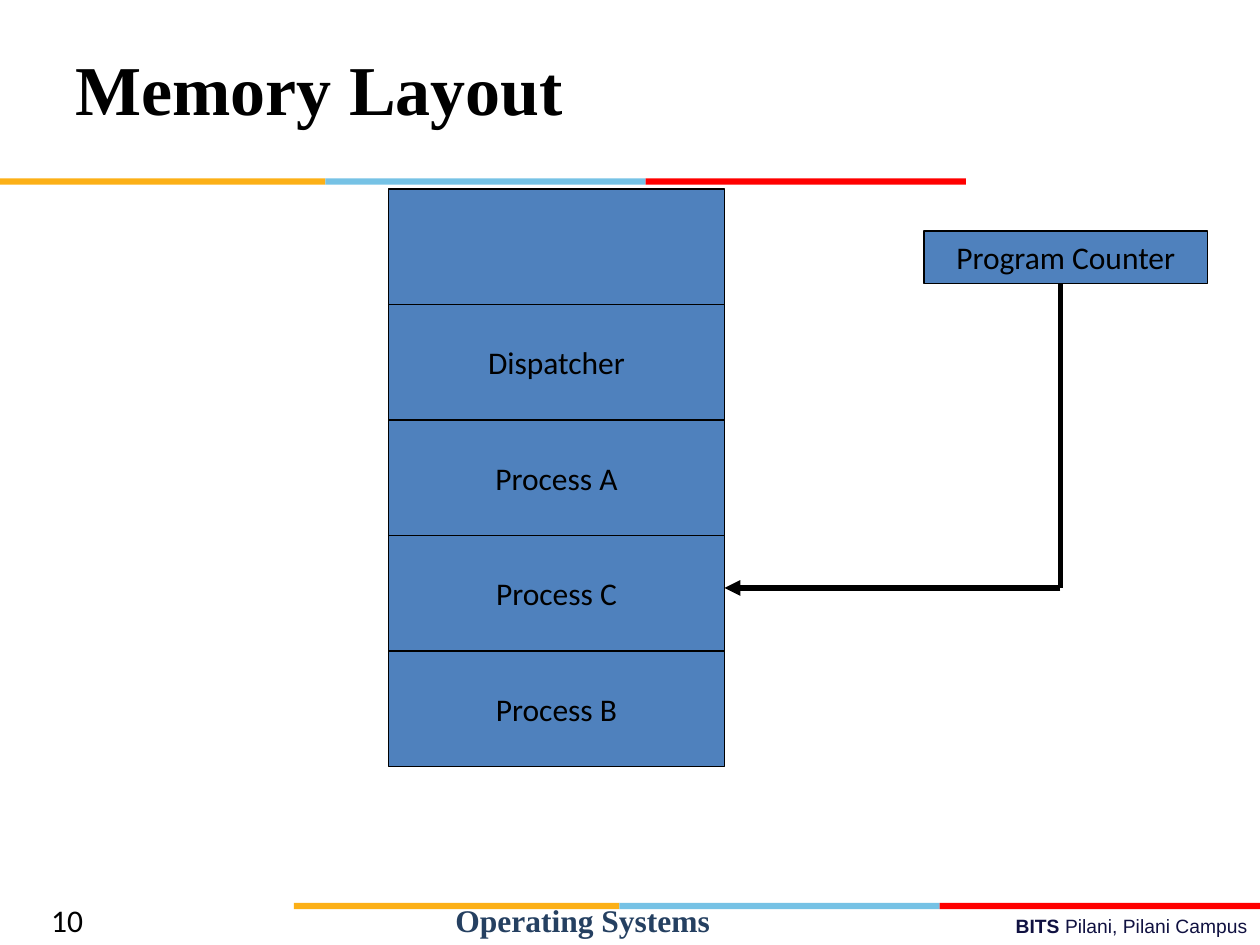
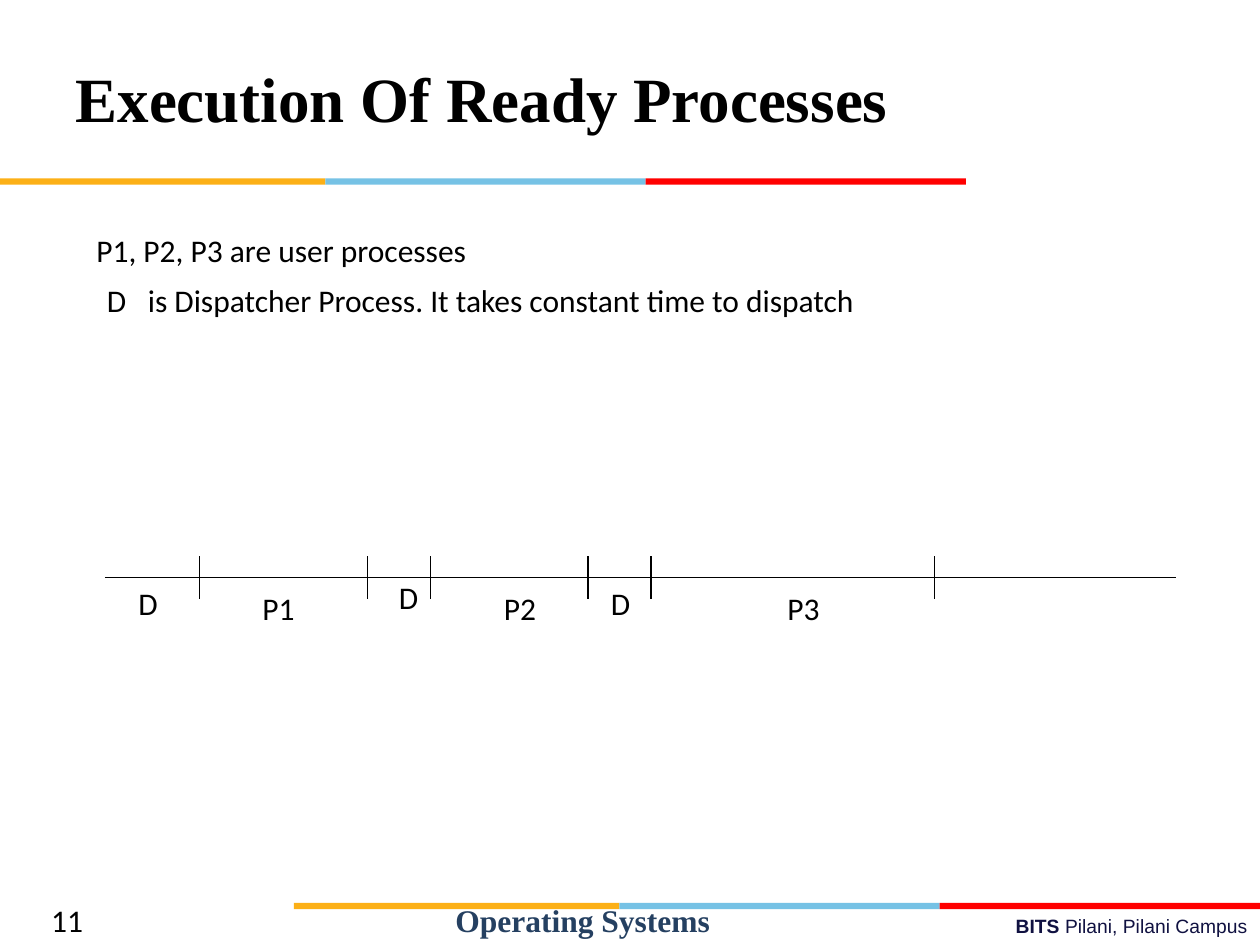
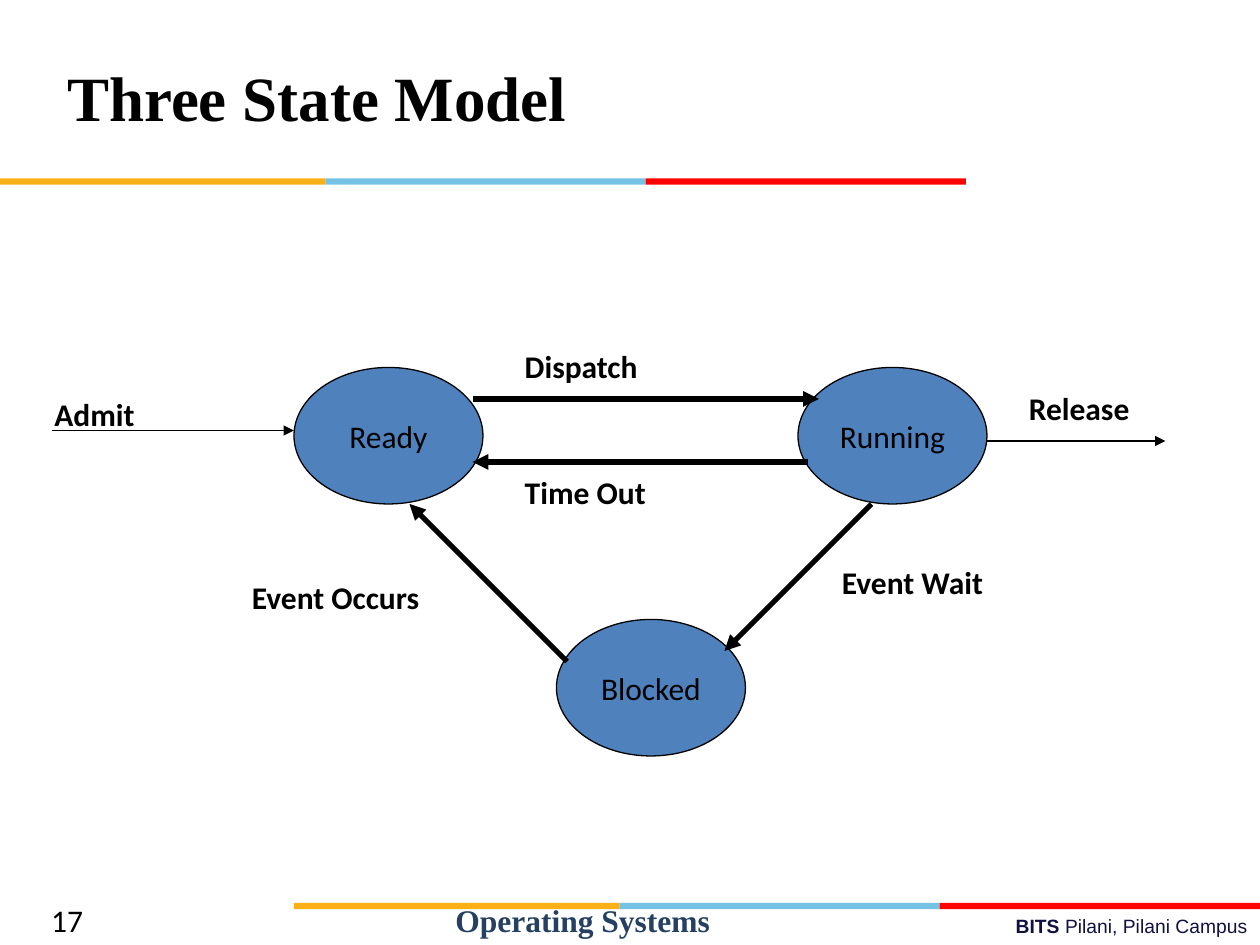
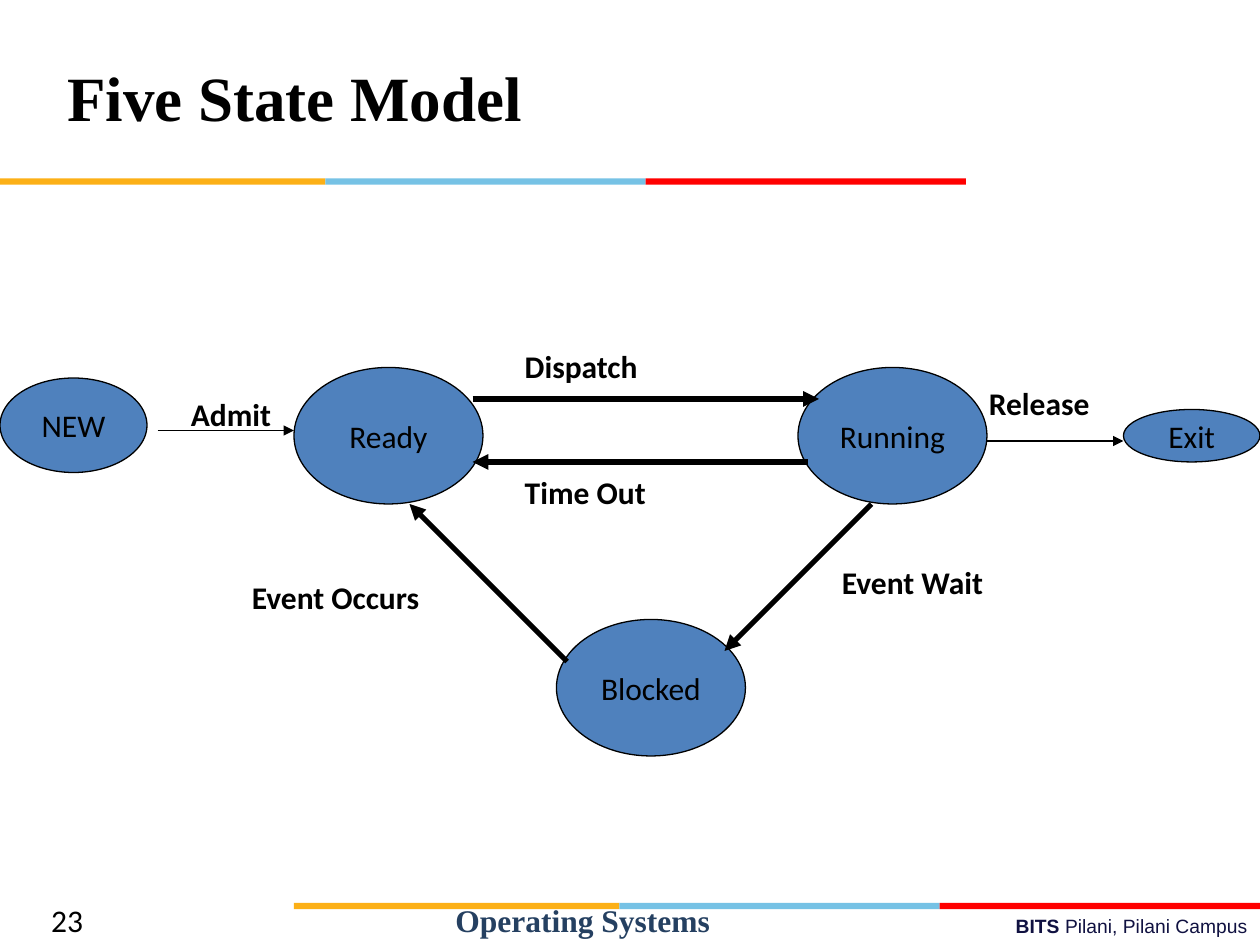
from itertools import accumulate

from pptx import Presentation
from pptx.dml.color import RGBColor
from pptx.enum.shapes import MSO_CONNECTOR, MSO_SHAPE
from pptx.enum.text import MSO_ANCHOR, MSO_AUTO_SIZE, PP_ALIGN
from pptx.oxml.ns import qn
from pptx.util import Emu, Pt

# 120 px to the inch
SCALE = 7620
SLIDE_W, SLIDE_H = 1200, 900

BLACK = RGBColor(0x00, 0x00, 0x00)
BLUE = RGBColor(0x4F, 0x81, 0xBD)
NAVY = RGBColor(0x10, 0x11, 0x41)
SLATE = RGBColor(0x25, 0x40, 0x61)
AMBER = RGBColor(0xFC, 0xB0, 0x17)
SKY = RGBColor(0x76, 0xC2, 0xE5)
RED = RGBColor(0xFF, 0x00, 0x00)

BODY_FONT, TITLE_FONT, CAMPUS_FONT = "Calibri", "Times New Roman", "Arial"
THIN, THICK = 0.75, 3
LABEL_H = 48
BAND_PARTS = [(310, AMBER), (305, SKY), (305, RED)]
TITLE_ONLY = 5


def px(*lengths):
    return [Emu(length * SCALE) for length in lengths]


def write(frame, text, size=18, font=BODY_FONT, color=BLACK, bold=False,
          align=PP_ALIGN.LEFT, anchor=MSO_ANCHOR.TOP, wrap=False):
    """Add a formatted run to the first paragraph of a text frame."""
    frame.word_wrap = wrap
    frame.vertical_anchor = anchor
    paragraph = frame.paragraphs[0]
    paragraph.alignment = align
    run = paragraph.add_run()
    run.text = text
    run.font.size = Pt(size)
    run.font.name = font
    run.font.bold = bold
    run.font.color.rgb = color


def add_label(slide, text, x, y, w, h=LABEL_H, **text_format):
    label = slide.shapes.add_textbox(*px(x, y, w, h))
    write(label.text_frame, text, **text_format)
    label.text_frame.auto_size = MSO_AUTO_SIZE.SHAPE_TO_FIT_TEXT
    return label


def add_filled(shapes, kind, box, fill):
    filled = shapes.add_shape(kind, *px(*box))
    filled.shadow.inherit = False
    filled.fill.solid()
    filled.fill.fore_color.rgb = fill
    filled.line.fill.background()
    return filled


def add_node(slide, text, box, kind=MSO_SHAPE.RECTANGLE):
    node = add_filled(slide.shapes, kind, box, BLUE)
    node.line.color.rgb = BLACK
    node.line.width = Pt(THIN)
    if text:
        write(node.text_frame, text, align=PP_ALIGN.CENTER, anchor=MSO_ANCHOR.MIDDLE)


def add_line(slide, start, end, width=THIN, arrow=False):
    line = slide.shapes.add_connector(MSO_CONNECTOR.STRAIGHT, *px(*start, *end))
    line.line.color.rgb = BLACK
    line.line.width = Pt(width)
    properties = line._element.spPr
    if arrow:
        head = properties.find(qn("a:ln")).makeelement(qn("a:tailEnd"), {"type": "triangle"})
        properties.find(qn("a:ln")).append(head)
    properties.append(properties.makeelement(qn("a:effectLst"), {}))


# Parts shared by all slides
def add_band(slide, x, y):
    band = slide.shapes.add_group_shape()
    widths = [width for width, _ in BAND_PARTS]
    for left, (width, color) in zip(accumulate(widths, initial=x), BAND_PARTS):
        add_filled(band.shapes, MSO_SHAPE.RECTANGLE, (left, y, width, 6), color)


def add_footer(slide, number, x, y):
    campus = add_label(slide, "BITS ", x + 430, y + 13, 770, 35, size=11, font=CAMPUS_FONT,
                       color=NAVY, bold=True, align=PP_ALIGN.RIGHT, wrap=True)
    write(campus.text_frame, "Pilani, Pilani Campus", size=11, font=CAMPUS_FONT,
          color=NAVY, align=PP_ALIGN.RIGHT, wrap=True)
    add_band(slide, x + 280, y + 8)
    add_label(slide, "Operating Systems", x + 422, y, 310, font=TITLE_FONT,
              color=SLATE, bold=True, wrap=True)
    add_label(slide, str(number), x + 37, y, 122, wrap=True)


def add_slide(deck, number, heading, box, size=36):
    slide = deck.slides.add_slide(deck.slide_layouts[TITLE_ONLY])
    title = slide.shapes.title
    title.left, title.top, title.width, title.height = px(*box)
    write(title.text_frame, heading, size=size, font=TITLE_FONT, bold=True,
          anchor=MSO_ANCHOR.MIDDLE, wrap=True)
    title.text_frame.auto_size = MSO_AUTO_SIZE.NONE
    add_footer(slide, number, 0, 852)
    add_band(slide, 0, 170)
    return slide


# Memory layout
def add_memory(slide, x, y, w, h):
    regions = ["", "Dispatcher", "Process A", "Process C", "Process B"]
    region_h = h // len(regions)
    for row, region in enumerate(regions):
        add_node(slide, region, (x, y + row * region_h, w, region_h))


def add_program_counter(slide, x, y, w, h, target):
    add_node(slide, "Program Counter", (x, y, w, h))
    corner = (x + 130, target[1])
    add_line(slide, (corner[0], y + h), corner, THICK)
    add_line(slide, corner, target, THICK, arrow=True)


# Execution of ready processes
def add_legend(slide, x, y):
    add_label(slide, "P1, P2, P3 are user processes", x, y, 430)
    dispatcher = add_label(slide, "D\tis Dispatcher Process. It takes constant time to dispatch",
                           x + 10, y + LABEL_H, 744, wrap=True)
    properties = dispatcher.text_frame.paragraphs[0]._p.get_or_add_pPr()
    stops = properties.makeelement(qn("a:tabLst"), {})
    stops.append(stops.makeelement(qn("a:tab"), {"pos": str(39 * SCALE), "algn": "l"}))
    properties.append(stops)


def add_timeline(slide, x, y, w):
    add_line(slide, (x, y), (x + w, y))
    for switch in (90, 250, 310, 460, 520, 790):
        add_line(slide, (x + switch, y - 20), (x + switch, y + 20))
    periods = [("D", 20, 0, 45), ("P1", 138, 5, 55), ("D", 268, -5, 45),
               ("P2", 368, 5, 61), ("D", 470, 0, 45), ("P3", 638, 5, 61)]
    for period, left, top, width in periods:
        add_label(slide, period, x + left, y + top, width)


# State models
def add_state(slide, text, x, y, w=180, h=130):
    add_node(slide, text, (x, y, w, h), MSO_SHAPE.OVAL)


def add_states(slide, x, y):
    for state, left, top in [("Ready", 0, 0), ("Running", 480, 0), ("Blocked", 250, 240)]:
        add_state(slide, state, x + left, y + top)
    # Each transition: name, arrow start and end, label left, top and width
    transitions = [
        ("Dispatch", (170, 30), (500, 30), (208, -25, 151)),
        ("Time Out", (490, 90), (170, 90), (208, 95, 154)),
        ("Event Wait", (550, 130), (410, 270), (510, 180, 190)),
        ("Event Occurs", (260, 280), (110, 130), (-52, 195, 217)),
    ]
    for name, start, end, (left, top, width) in transitions:
        add_line(slide, (x + start[0], y + start[1]), (x + end[0], y + end[1]),
                 THICK, arrow=True)
        add_label(slide, name, x + left, y + top, width, bold=True)


def add_passage(slide, name, start, end, label_at, label_w):
    add_line(slide, start, end, arrow=True)
    add_label(slide, name, *label_at, label_w, bold=True)


def add_state_slide(deck, number, heading, admit, release):
    """admit holds the arrow's start x and label place, release its end x and label place."""
    slide = add_slide(deck, number, heading, (52, 36, 803, 112))
    add_states(slide, 280, 350)
    add_passage(slide, "Admit", (admit[0], 410), (280, 410), admit[1], 118)
    add_passage(slide, "Release", (940, 420), (release[0], 420), release[1], 138)
    return slide


def main():
    deck = Presentation()
    deck.slide_width, deck.slide_height = px(SLIDE_W, SLIDE_H)

    memory = add_slide(deck, 10, "Memory Layout", (60, 36, 1080, 94), size=40)
    add_memory(memory, 370, 180, 320, 550)
    add_program_counter(memory, 880, 220, 270, 50, target=(690, 560))

    execution = add_slide(deck, 11, "Execution Of Ready Processes", (60, 36, 1080, 114))
    add_timeline(execution, 100, 550, 1020)
    add_legend(execution, 80, 214)

    add_state_slide(deck, 17, "Three State Model",
                    admit=(50, (40, 370)), release=(1110, (968, 365)))

    five_states = add_state_slide(deck, 23, "Five State Model",
                                  admit=(150, (170, 370)), release=(1070, (930, 360)))
    add_state(five_states, "NEW", 0, 360, 140, 90)
    add_state(five_states, "Exit", 1070, 390, 130, 50)

    deck.save("out.pptx")


if __name__ == "__main__":
    main()
